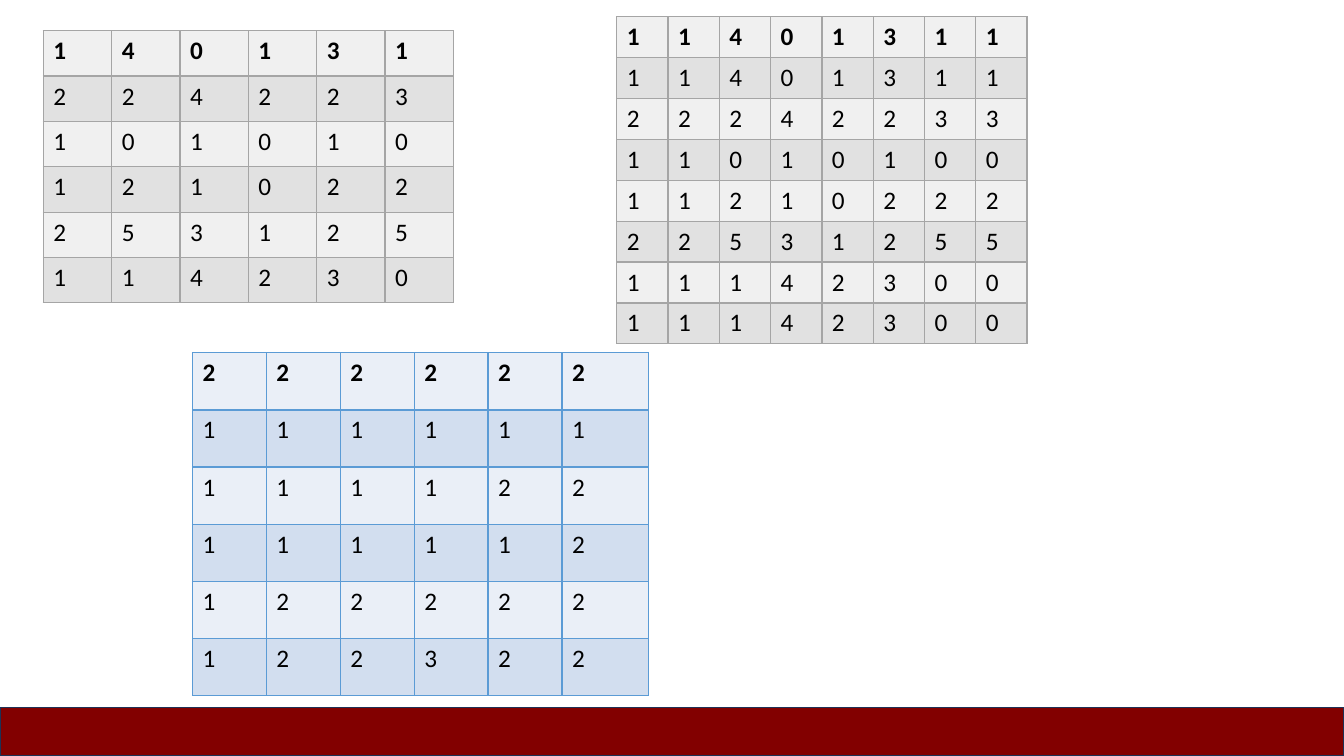
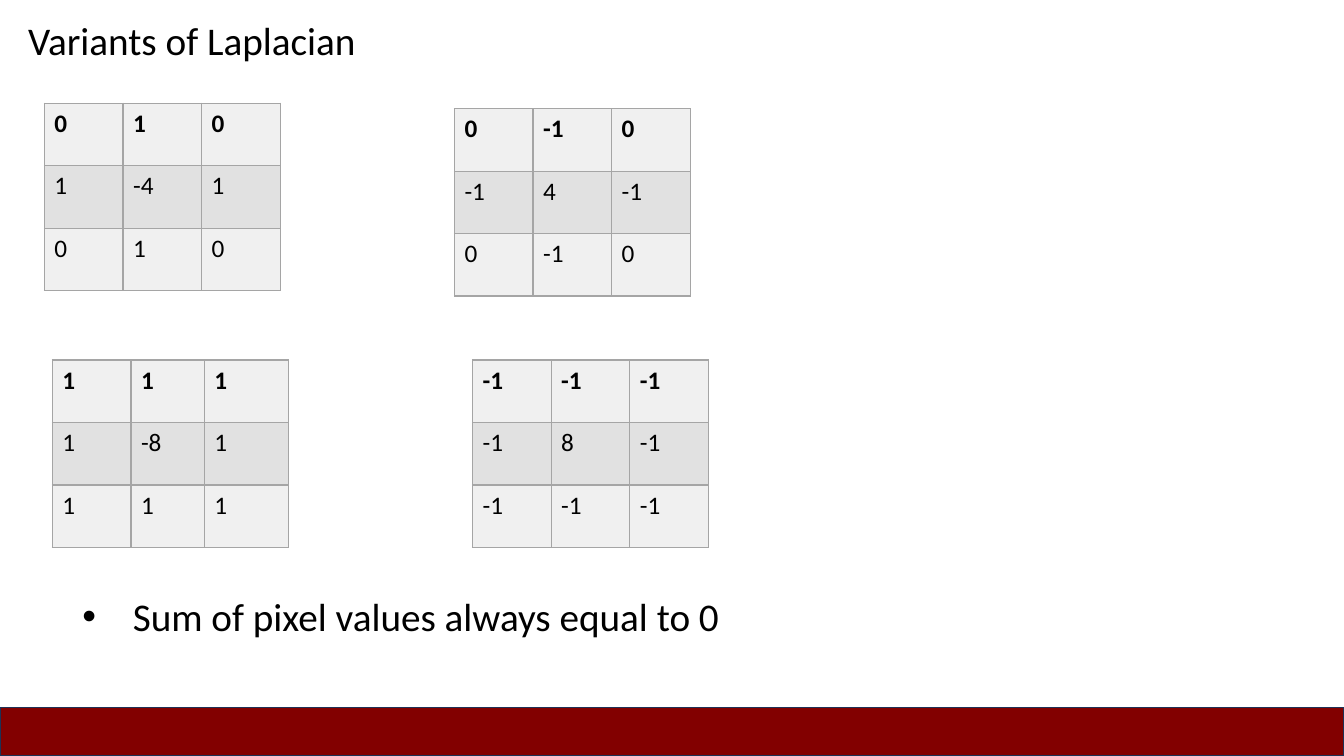
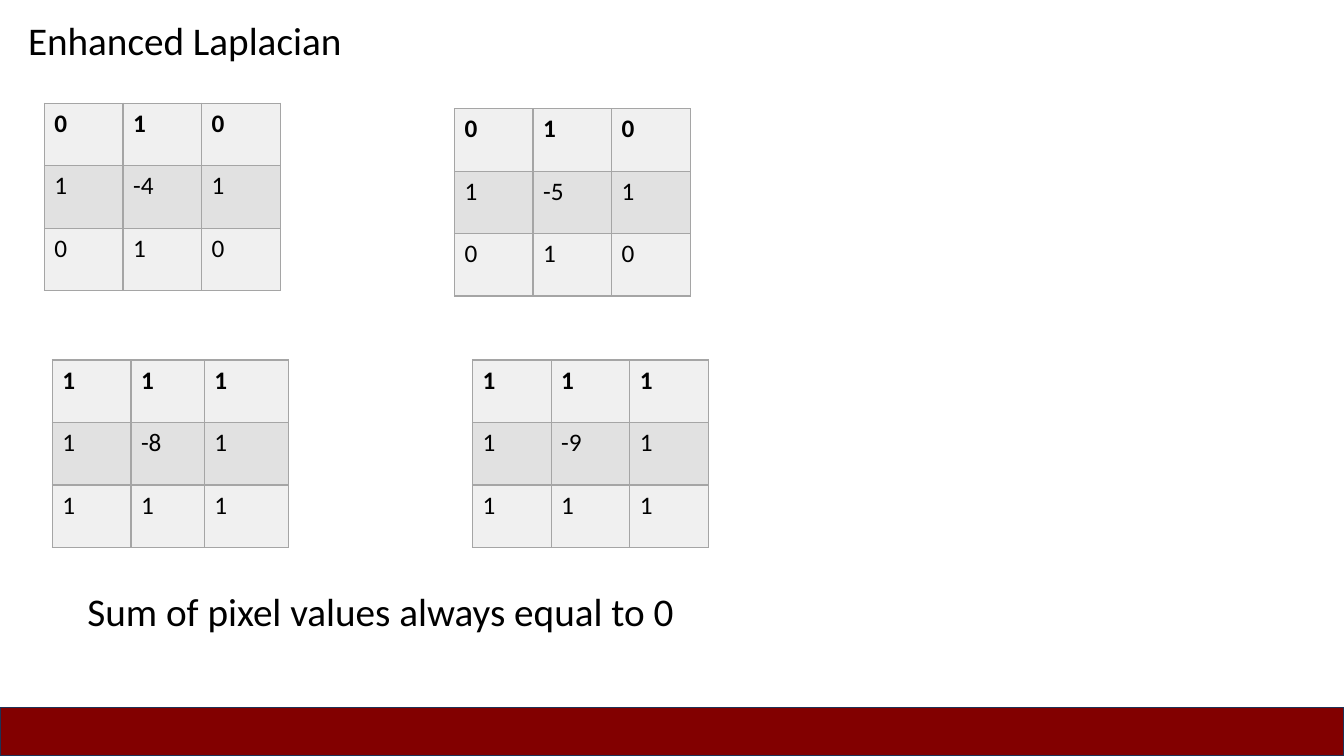
from pptx import Presentation
from pptx.dml.color import RGBColor
from pptx.enum.shapes import MSO_SHAPE as Preset
from pptx.enum.text import MSO_AUTO_SIZE as AutoSize
from pptx.oxml import parse_xml
from pptx.oxml.ns import nsdecls
from pptx.util import Pt

FONT = "Calibri"
INK = "000000"
BAND_FILL = "820000"
BAND_LINE = "1E3256"
GREY = ("A5A5A5", "F0F0F0", "E1E1E1")
BLUE = ("5B9BD5", "EAEFF7", "D2DEEF")
WIDTH, HEIGHT = 960, 540
BAND_TOP = 505.4
KERNEL_ROW = 44.64
EVEN = [56.16] * 3
UNEVEN = [56.16, 52.3, 60]
SUM_NOTE = "Sum of pixel values always equal to 0"

IMAGE = [
    [1, 4, 0, 1, 3, 1],
    [2, 2, 4, 2, 2, 3],
    [1, 0, 1, 0, 1, 0],
    [1, 2, 1, 0, 2, 2],
    [2, 5, 3, 1, 2, 5],
    [1, 1, 4, 2, 3, 0],
]
FILTERED = [
    [2, 2, 2, 2, 2, 2],
    [1, 1, 1, 1, 1, 1],
    [1, 1, 1, 1, 2, 2],
    [1, 1, 1, 1, 1, 2],
    [1, 2, 2, 2, 2, 2],
    [1, 2, 2, 3, 2, 2],
]


def color(value):
    return RGBColor.from_string(value)


def pad_edges(items):
    return [items[0], *items, items[-1]]


def kernel(corner, edge, center):
    outer = [corner, edge, corner]
    return [outer, [edge, center, edge], outer]


def add_span(para, text, size, bold=False):
    span = para.add_run()
    span.text = text
    span.font.name = FONT
    span.font.size = Pt(size)
    span.font.bold = bold
    span.font.color.rgb = color(INK)


def add_text(page, text, left, top, width, height):
    box = page.shapes.add_textbox(Pt(left), Pt(top), Pt(width), Pt(height))
    box.text_frame.word_wrap = True
    para = box.text_frame.paragraphs[0]
    add_span(para, text, 28)
    return box, para


def add_title(page, text):
    box, para = add_text(page, text, 12.96, 12.24, 921.6, 40)
    para.line_spacing = 0.9
    para.space_before = Pt(10)


def add_note(page, text, left, top, width, bullet=False):
    box, para = add_text(page, text, left, top, width, 41)
    box.text_frame.auto_size = AutoSize.SHAPE_TO_FIT_TEXT
    if bullet:
        props = para._p.get_or_add_pPr()
        props.set("marL", str(Pt(36)))
        props.set("indent", str(Pt(-36)))
        props.append(parse_xml(f'<a:buFont {nsdecls("a")} typeface="Arial"/>'))
        props.append(parse_xml(f'<a:buChar {nsdecls("a")} char="•"/>'))


def add_borders(cell, value):
    props = cell._tc.get_or_add_tcPr()
    for side in ("lnL", "lnR", "lnT", "lnB"):
        props.append(parse_xml(
            f'<a:{side} {nsdecls("a")} w="{Pt(1)}"><a:solidFill>'
            f'<a:srgbClr val="{value}"/></a:solidFill></a:{side}>'))


def add_matrix(page, values, left, top, widths, row_height, theme=GREY):
    line, *fills = theme
    frame = page.shapes.add_table(
        len(values), len(widths), Pt(left), Pt(top),
        Pt(sum(widths)), Pt(row_height * len(values)))
    table = frame.table
    table.horz_banding = False
    for column, width in zip(table.columns, widths):
        column.width = Pt(width)
    for index, numbers in enumerate(values):
        table.rows[index].height = Pt(row_height)
        for cell, number in zip(table.rows[index].cells, numbers):
            add_borders(cell, line)
            cell.fill.solid()
            cell.fill.fore_color.rgb = color(fills[index % 2])
            add_span(cell.text_frame.paragraphs[0], str(number), 18, index == 0)


def add_band(page):
    band = page.shapes.add_shape(
        Preset.RECTANGLE, Pt(0), Pt(BAND_TOP), Pt(WIDTH), Pt(HEIGHT - BAND_TOP))
    band.shadow.inherit = False
    band.fill.solid()
    band.fill.fore_color.rgb = color(BAND_FILL)
    band.line.color.rgb = color(BAND_LINE)
    band.line.width = Pt(1)


def add_page(deck):
    return deck.slides.add_slide(deck.slide_layouts[6])


def add_filter_page(deck):
    page = add_page(deck)
    padded = pad_edges([pad_edges(row) for row in IMAGE])
    add_matrix(page, IMAGE, 30.96, 21.9, [48.84] * 6, 32.4)
    add_matrix(page, padded, 440.6, 12, [36.63] * 8, 28.8)
    add_matrix(page, FILTERED, 137.5, 252, [52.8] * 5 + [62], 40.8, BLUE)
    add_band(page)


def add_kernel_page(deck, title, kernels):
    page = add_page(deck)
    add_title(page, title)
    places = [(31.7, 73.8, EVEN), (37.4, 257.2, UNEVEN),
              (324.6, 77.6, EVEN), (337.5, 257.2, EVEN)]
    for values, (left, top, widths) in zip(kernels, places):
        add_matrix(page, values, left, top, widths, KERNEL_ROW)
    add_band(page)
    return page


def main():
    deck = Presentation()
    deck.slide_width, deck.slide_height = Pt(WIDTH), Pt(HEIGHT)
    add_filter_page(deck)
    basic = [kernel(0, 1, -4), kernel(1, 1, -8)]
    variants = add_kernel_page(
        deck, "Variants of Laplacian",
        basic + [kernel(0, -1, 4), kernel(-1, -1, 8)])
    add_note(variants, SUM_NOTE, 51.8, 419.8, 516.2, bullet=True)
    enhanced = add_kernel_page(
        deck, "Enhanced Laplacian",
        basic + [kernel(0, 1, -5), kernel(1, 1, -9)])
    add_note(enhanced, SUM_NOTE, 55.4, 416.2, 441.4)
    deck.save("out.pptx")


if __name__ == "__main__":
    main()
